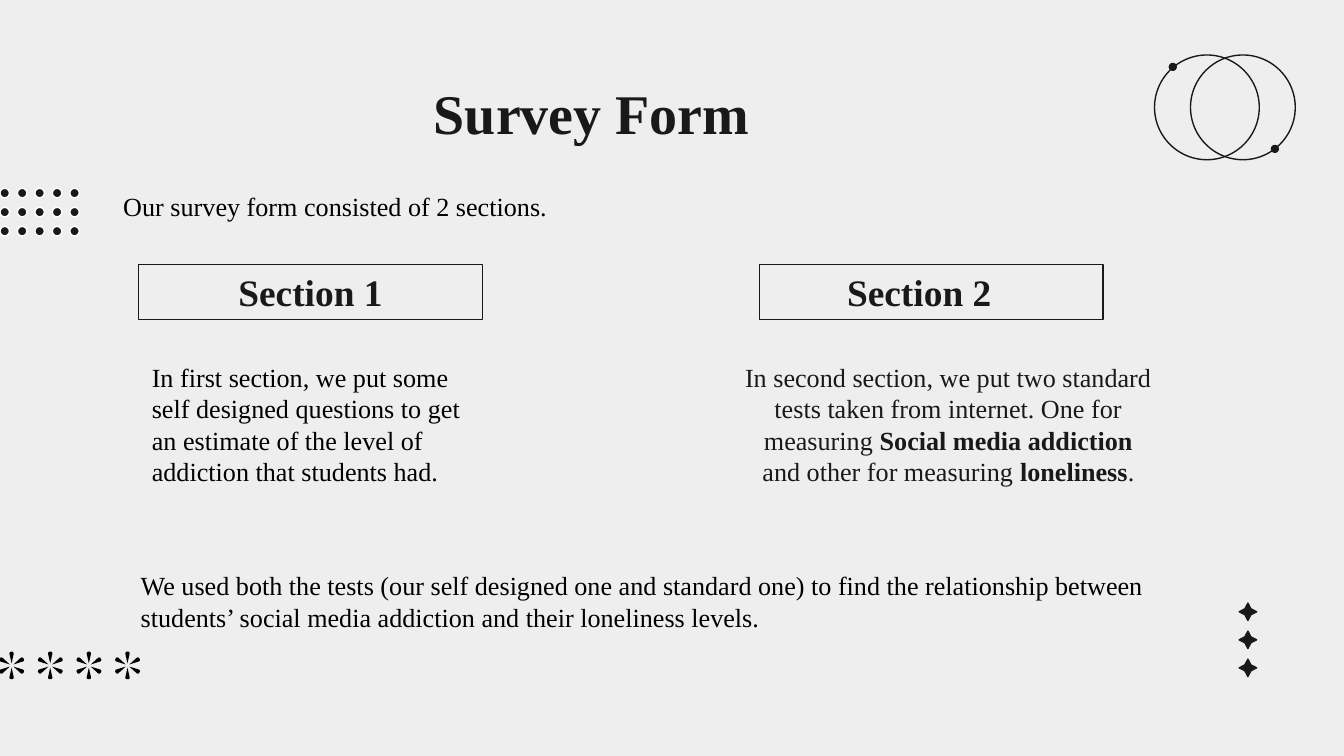
from dataclasses import dataclass
from math import cos, radians, sin

from pptx import Presentation
from pptx.dml.color import RGBColor
from pptx.enum.shapes import MSO_SHAPE
from pptx.enum.text import MSO_ANCHOR, PP_ALIGN
from pptx.util import Cm, Pt

OVAL, STAR, RECT = MSO_SHAPE.OVAL, MSO_SHAPE.STAR_4_POINT, MSO_SHAPE.RECTANGLE
TOP, MIDDLE = MSO_ANCHOR.TOP, MSO_ANCHOR.MIDDLE
LEFT, CENTER = PP_ALIGN.LEFT, PP_ALIGN.CENTER
COLORS = {"bg": "EEEEEE", "ink": "191919", "black": "000000", "white": "FFFFFF"}
PETAL = [(0, 0.04), (0.04, 0.22), (0.04, 0.24), (0.02, 0.26),
         (-0.02, 0.26), (-0.04, 0.24), (-0.04, 0.22)]


@dataclass
class Deck:
    """Draw styled elements on the current slide."""

    s: object
    font: str = "Times New Roman"
    line: float = 0.75

    def color(self, name):
        return RGBColor.from_string(COLORS[name])

    def background(self, name):
        fill = self.s.background.fill
        fill.solid()
        fill.fore_color.rgb = self.color(name)

    def group(self):
        return self.s.shapes.add_group_shape().shapes

    def paint(self, sp, fill, line):
        sp.shadow.inherit = False
        if fill:
            sp.fill.solid()
            sp.fill.fore_color.rgb = self.color(fill)
        else:
            sp.fill.background()
        if line:
            sp.line.color.rgb = self.color(line)
            sp.line.width = Pt(self.line)
        else:
            sp.line.fill.background()

    def shape(self, shapes, kind, x, y, w, h, fill=None, line="ink"):
        sp = shapes.add_shape(kind, Cm(x), Cm(y), Cm(w), Cm(h))
        self.paint(sp, fill, line)
        return sp

    def asterisk(self, shapes, cx, cy):
        for angle in range(0, 360, 60):
            c, d = cos(radians(angle)), sin(radians(angle))
            points = [(Cm(cx + x * c - y * d), Cm(cy + x * d + y * c)) for x, y in PETAL]
            fb = shapes.build_freeform(*points[0])
            fb.add_line_segments(points[1:])
            self.paint(fb.convert_to_shape(), "black", None)

    def add_runs(self, sp, runs, size, color, align=LEFT, anchor=TOP, indent=0.25):
        tf = sp.text_frame
        tf.word_wrap = True
        tf.vertical_anchor = anchor
        tf.margin_left = Cm(indent)
        tf.margin_right = tf.margin_top = tf.margin_bottom = Cm(0.25)
        p = tf.paragraphs[0]
        p.alignment = align
        for text, bold in runs:
            r = p.add_run()
            r.text = text
            r.font.name = self.font
            r.font.size = Pt(size)
            r.font.bold = bold
            r.font.color.rgb = self.color(color)

    def text(self, x, y, w, h, runs, size=14, color="black", align=LEFT):
        sp = self.s.shapes.add_textbox(Cm(x), Cm(y), Cm(w), Cm(h))
        self.add_runs(sp, runs, size, color, align)

    def heading(self, x, label, align, indent):
        sp = self.shape(self.s.shapes, RECT, x, 5, 6.5, 1.04)
        self.add_runs(sp, [(label, True)], 20, "ink", align, MIDDLE, indent)


def main():
    prs = Presentation()
    prs.slide_width, prs.slide_height = Cm(25.4), Cm(14.29)
    deck = Deck(prs.slides.add_slide(prs.slide_layouts[6]))
    deck.background("bg")

    dots = deck.group()
    for col in range(5):
        for row in range(3):
            deck.shape(dots, OVAL, 0.33 * col, 3.56 + 0.36 * row, 0.18, 0.18, "ink", "white")

    stars = deck.group()
    for row in range(3):
        sp = deck.shape(stars, STAR, 23.42, 11.4 + 0.53 * row, 0.33, 0.33, "ink")
        sp.adjustments[0] = 0.24

    deck.text(7.95, 1.24, 21.41, 1.6, [("Survey Form", True)], 30, "ink")
    deck.text(2.62, 6.58, 6.5, 3.23, [
        ("In first section, we put some self designed questions to get an estimate "
         "of the level of addiction that students had.", False)])
    deck.text(13.77, 6.58, 8.31, 3.23, [
        ("In second section, we put two standard tests taken from internet. "
         "One for measuring ", False),
        ("Social media addiction", True),
        (" and other for measuring ", False),
        ("loneliness", True),
        (".", False)], color="ink", align=CENTER)
    deck.heading(2.62, "Section 1", CENTER, 0.25)
    deck.heading(14.35, "Section 2", LEFT, 1.66)

    rings = deck.group()
    for x in (21.82, 22.5):
        deck.shape(rings, OVAL, x, 1.04, 1.98, 1.98)
    for x, y in ((22.1, 1.2), (24.03, 2.75)):
        deck.shape(rings, OVAL, x, y, 0.13, 0.13, "ink")

    asterisks = deck.group()
    for col in range(4):
        deck.asterisk(asterisks, 0.22 + 0.73 * col, 12.58)

    deck.text(2.08, 3.35, 20.57, 1.12, [("Our survey form consisted of 2 sections.", False)])
    deck.text(2.41, 10.52, 20.98, 1.7, [
        ("We used both the tests (our self designed one and standard one) to find the "
         "relationship between students’ social media addiction and their loneliness "
         "levels.", False)])
    prs.save("out.pptx")


if __name__ == "__main__":
    main()
